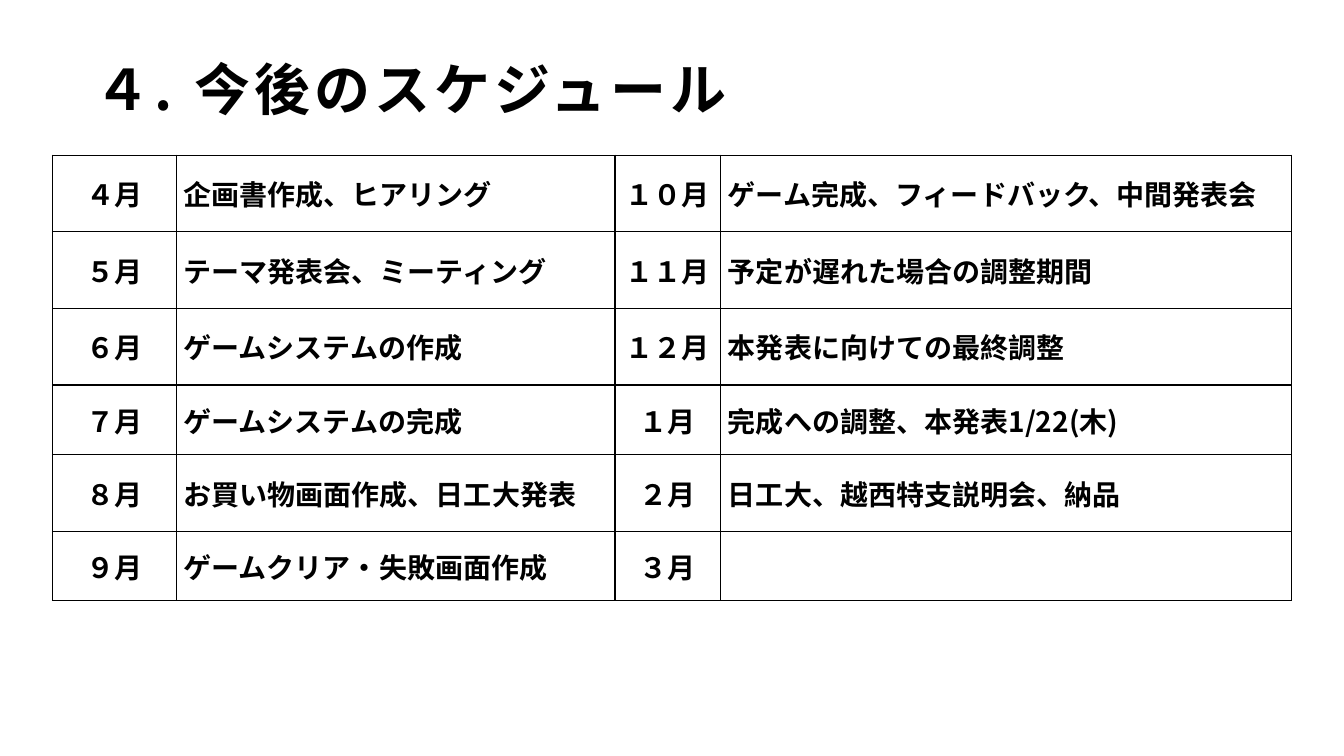
import pptx
import pptx.util
import pptx.dml.color
import pptx.enum.text
import pptx.oxml
import pptx.oxml.ns

SCALE = 9144
FACE = "Noto Sans CJK JP"
INK = "000000"
ALIGN = pptx.enum.text.PP_ALIGN
MIDDLE = pptx.enum.text.MSO_ANCHOR.MIDDLE

COLS = [123, 435, 105, 566]
TALL, LOW = 76, 69
ROWS = [
    (TALL, "４月", "企画書作成、ヒアリング", "１０月", "ゲーム完成、フィードバック、中間発表会"),
    (TALL, "５月", "テーマ発表会、ミーティング", "１１月", "予定が遅れた場合の調整期間"),
    (TALL, "６月", "ゲームシステムの作成", "１２月", "本発表に向けての最終調整"),
    (LOW, "７月", "ゲームシステムの完成", "１月", "完成への調整、本発表1/22(木)"),
    (TALL, "８月", "お買い物画面作成、日工大発表", "２月", "日工大、越西特支説明会、納品"),
    (LOW, "９月", "ゲームクリア・失敗画面作成", "３月", ""),
]
LEFT = {(0, 3), (1, 1)}


def px(n):
    return pptx.util.Emu(n * SCALE)


def color(code):
    return pptx.dml.color.RGBColor.from_string(code)


def tag(xml):
    return pptx.oxml.parse_xml(xml.replace(" ", f" {pptx.oxml.ns.nsdecls('a')} ", 1))


def write(frame, text, size, align, space=0):
    para = frame.paragraphs[0]
    para.text = text
    para.alignment = align
    font = para.font
    font.size = pptx.util.Pt(size)
    font.bold = True
    font.name = FACE
    font.color.rgb = color(INK)
    props = para._p.pPr.find(pptx.oxml.ns.qn("a:defRPr"))
    props.append(tag(f'<a:ea typeface="{FACE}"/>'))
    if space:
        props.set("spc", str(space * 100))


def title(slide, text, left, top, width, height):
    frame = slide.shapes.add_textbox(px(left), px(top), px(width), px(height)).text_frame
    frame.word_wrap = True
    frame.vertical_anchor = MIDDLE
    frame.margin_top = frame.margin_bottom = 0
    write(frame, text, 40, ALIGN.LEFT, 3)


def border(cell, code):
    props = cell._tc.get_or_add_tcPr()
    for side in "LRTB":
        props.append(tag(
            f'<a:ln{side} w="12700"><a:solidFill><a:srgbClr val="{code}"/>'
            f'</a:solidFill></a:ln{side}>'))


def style(cell, text, align):
    cell.margin_left = cell.margin_right = px(7)
    cell.margin_top = cell.margin_bottom = 0
    cell.vertical_anchor = MIDDLE
    border(cell, INK)
    cell.fill.background()
    write(cell.text_frame, text, 20, align)


def grid(slide, left, top):
    high = sum(row[0] for row in ROWS)
    table = slide.shapes.add_table(
        len(ROWS), len(COLS), px(left), px(top), px(sum(COLS)), px(high)).table
    table.first_row = table.horz_banding = False
    for col, width in zip(table.columns, COLS):
        col.width = px(width)
    for r, (height, *texts) in enumerate(ROWS):
        table.rows[r].height = px(height)
        for c, text in enumerate(texts):
            if c % 2 == 0:
                align = ALIGN.CENTER
            else:
                align = ALIGN.LEFT if (r, c) in LEFT else ALIGN.JUSTIFY
            style(table.cell(r, c), text, align)


def main():
    deck = pptx.Presentation()
    deck.slide_width, deck.slide_height = px(1333), px(750)
    slide = deck.slides.add_slide(deck.slide_layouts[6])
    title(slide, "４. 今後のスケジュール", 84, 49, 784, 77)
    grid(slide, 52, 154)
    deck.save("out.pptx")


if __name__ == "__main__":
    main()
